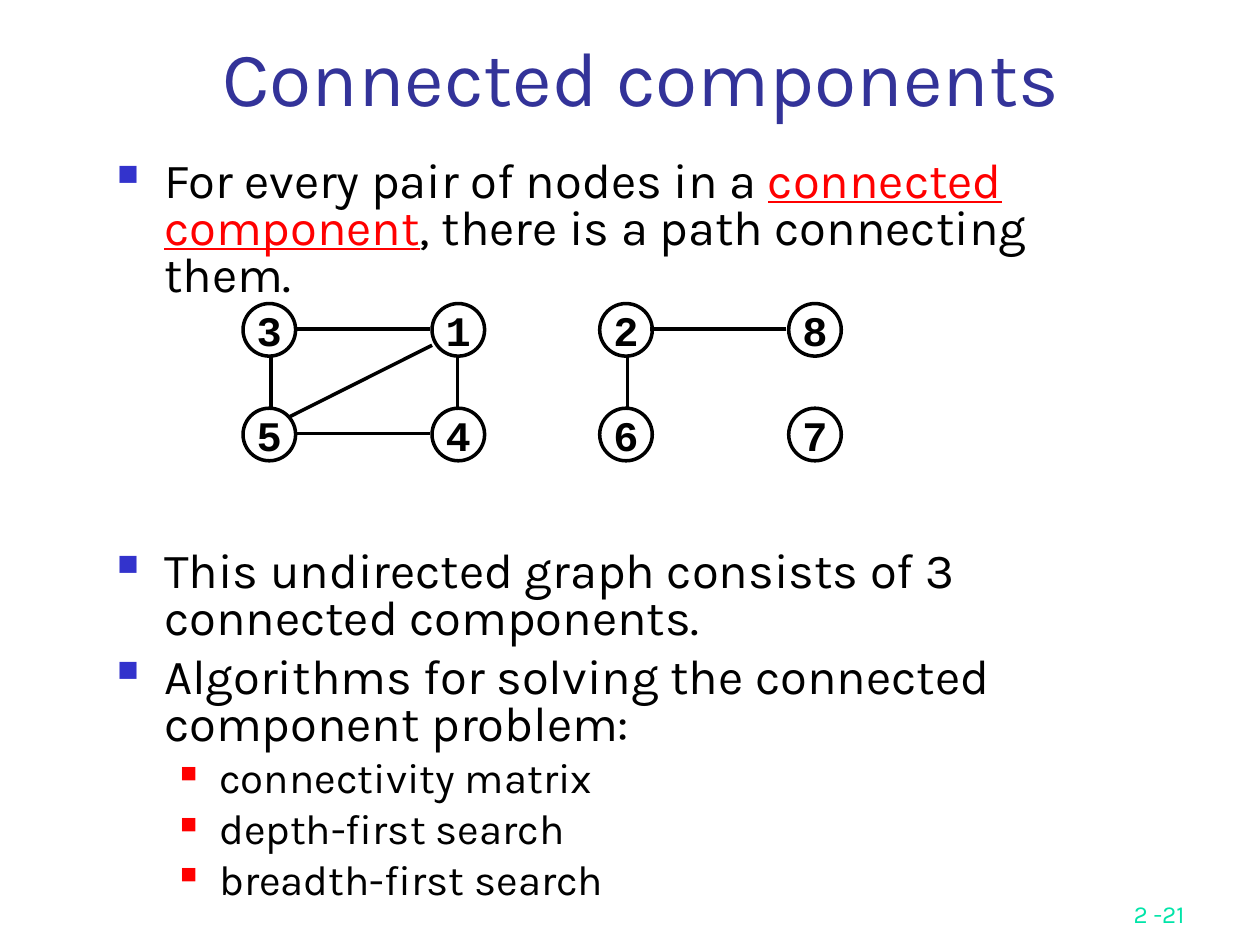
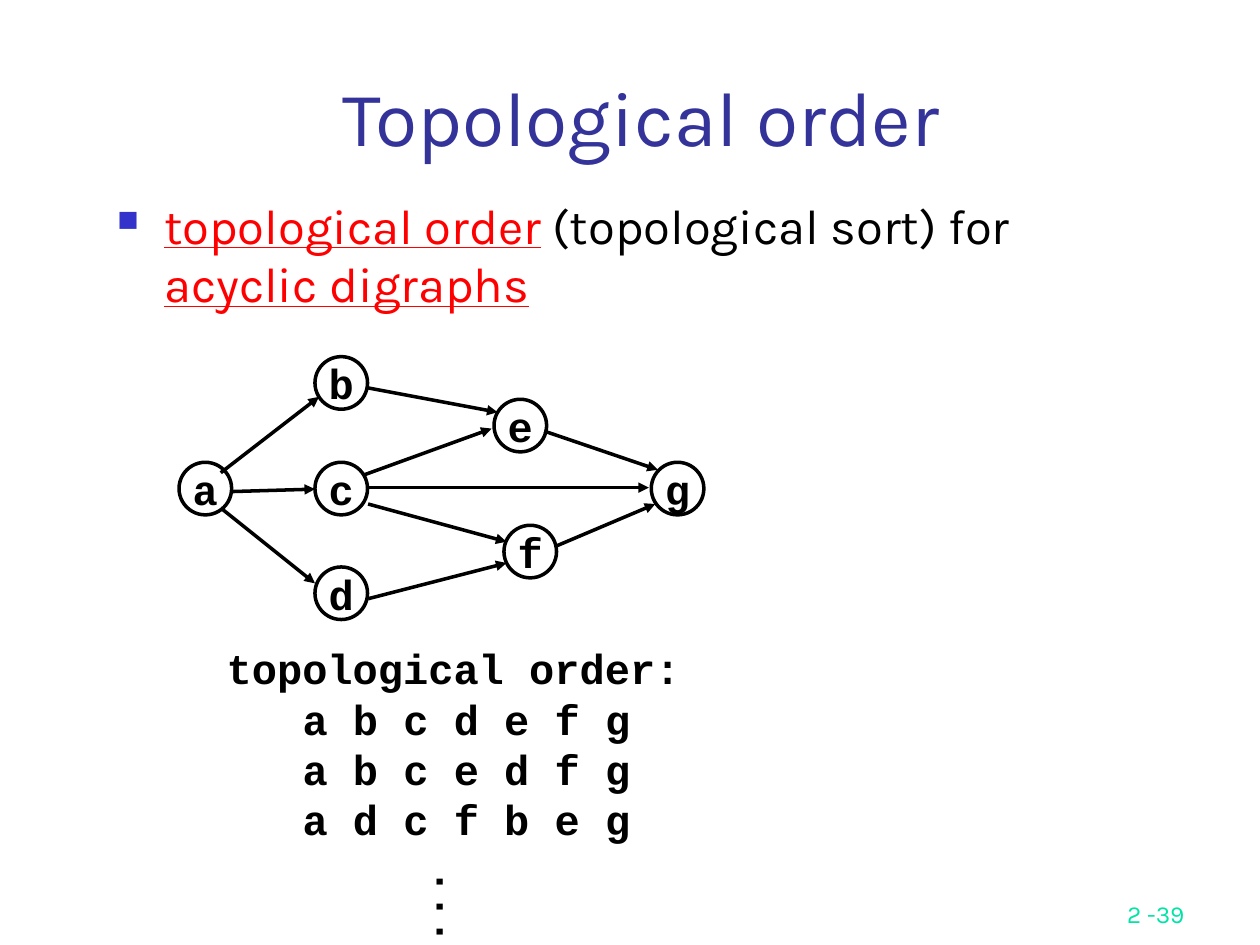
"""Build two lecture slides on graph algorithms: connected components and topological order."""
from lxml.etree import SubElement
from pptx import Presentation
from pptx.dml.color import RGBColor
from pptx.enum.shapes import MSO_CONNECTOR, MSO_SHAPE
from pptx.enum.text import MSO_ANCHOR, PP_ALIGN
from pptx.oxml.ns import qn
from pptx.util import Cm, Pt

BLACK = RGBColor(0x00, 0x00, 0x00)
TITLE_BLUE = RGBColor(0x33, 0x33, 0x99)
BULLET_BLUE = RGBColor(0x33, 0x33, 0xCC)
RED = RGBColor(0xFF, 0x00, 0x00)
FOOTER_GREEN = RGBColor(0x00, 0xE4, 0xA8)
TEXT_FONT, CODE_FONT = "Karla", "Courier New"

FOOTER_BOX = (18.85, 17.58, 5.28, 1.27)
NODE_SIZE = 1.06
CHAR_WIDTH = 0.51
LEVELS = [
    dict(size=28, margin=0.95, hang=0.95, before=7, bullet=BULLET_BLUE, percent=60),
    dict(size=24, margin=2.06, hang=0.79, before=6, bullet=RED, percent=55),
]
GRAPH_GAP = 142

COLUMNS, ROWS = (4.90, 8.71, 12.09, 15.90), (6.12, 8.23)
NODE_GRID = ("3128", "5467")

SLIDES = [
    dict(
        title="Connected components", title_box=(2.11, 0, 21.64, 2.59),
        footer="2 -21", body_box=(2.11, 3.12, 21.39, 15.39), line_spacing=0.8,
        body=[
            (0, None, [("For every pair of nodes in a ", False), ("connected component", True),
                       (", there is a path connecting them.", False)]),
            (0, GRAPH_GAP, [("This undirected graph consists of 3 connected components.", False)]),
            (0, None, [("Algorithms for solving the connected component problem:", False)]),
            (1, None, [("connectivity matrix", False)]),
            (1, None, [("depth-first search", False)]),
            (1, None, [("breadth-first search", False)]),
        ],
        nodes=[(label, x, y) for y, labels in zip(ROWS, NODE_GRID)
               for x, label in zip(COLUMNS, labels)],
        edges=[
            (5.46, 7.19, 5.46, 8.23), (5.97, 8.74, 8.66, 8.74), (9.22, 7.19, 9.22, 8.20),
            (5.92, 6.63, 8.66, 6.63), (8.71, 6.96, 5.82, 8.41),
            (12.65, 7.19, 12.65, 8.23), (13.11, 6.63, 15.85, 6.63),
        ],
        directed=False, orders=[],
    ),
    dict(
        title="Topological order", title_box=(2.11, 1.27, 21.64, 2.11),
        footer="2 -39", body_box=(2.11, 3.81, 21.59, 12.90), line_spacing=None,
        body=[
            (0, None, [("topological order", True), (" (topological sort) for ", False),
                       ("acyclic digraphs", True)]),
        ],
        nodes=[
            ("a", 3.61, 9.32), ("b", 6.35, 7.19), ("c", 6.35, 9.32), ("d", 6.35, 11.43),
            ("e", 9.96, 8.05), ("f", 10.16, 10.59), ("g", 13.13, 9.32),
        ],
        edges=[
            (4.45, 9.53, 6.43, 8.00), (4.65, 9.91, 6.35, 9.86), (4.45, 10.24, 6.35, 11.76),
            (7.42, 7.82, 10.03, 8.31), (7.32, 9.58, 9.91, 8.64), (7.42, 9.83, 13.08, 9.83),
            (7.42, 10.16, 10.21, 10.92), (7.42, 12.07, 10.21, 11.35),
            (11.23, 11.00, 13.21, 10.16), (10.97, 8.69, 13.26, 9.47),
        ],
        directed=True,
        orders=[(1, "topological order:"), (4, "a b c d e f g"),
                (4, "a b c e d f g"), (4, "a d c f b e g")],
    ),
]
ORDERS_BOX = (3.81, 12.83, 11.2, 4.32)
DOTS_BOX = (8.26, 17.27, 1.52, 1.78)


def add_run(paragraph, text, size, color=BLACK, font=TEXT_FONT, bold=False, underline=False):
    run = paragraph.add_run()
    run.text = text
    run.font.name, run.font.size, run.font.bold = font, Pt(size), bold
    run.font.color.rgb = color
    if underline:
        run.font.underline = True


def add_code(paragraph, text):
    add_run(paragraph, text, 24, font=CODE_FONT, bold=True)


def add_frame(slide, box, anchor=MSO_ANCHOR.TOP):
    frame = slide.shapes.add_textbox(*map(Cm, box)).text_frame
    frame.word_wrap = True
    frame.vertical_anchor = anchor
    return frame


def next_paragraph(frame, index):
    return frame.add_paragraph() if index else frame.paragraphs[0]


def indent(paragraph, margin, hang=0):
    properties = paragraph._p.get_or_add_pPr()
    properties.set("marL", str(Cm(margin)))
    properties.set("indent", str(-Cm(hang)))
    return properties


def add_line_of_text(slide, box, text, size, color, align):
    paragraph = add_frame(slide, box, MSO_ANCHOR.BOTTOM).paragraphs[0]
    paragraph.alignment = align
    add_run(paragraph, text, size, color)


def add_body(slide, box, points, line_spacing):
    frame = add_frame(slide, box)
    for index, (depth, gap, runs) in enumerate(points):
        level = LEVELS[depth]
        paragraph = next_paragraph(frame, index)
        paragraph.level = depth
        properties = indent(paragraph, level["margin"], level["hang"])
        color = SubElement(properties, qn("a:buClr"))
        SubElement(color, qn("a:srgbClr"), val=str(level["bullet"]))
        SubElement(properties, qn("a:buSzPct"), val=str(level["percent"] * 1000))
        SubElement(properties, qn("a:buChar"), char="■")
        if line_spacing:
            paragraph.line_spacing = line_spacing
        if index:
            paragraph.space_before = Pt(gap or level["before"])
        for text, key_term in runs:
            add_run(paragraph, text, level["size"], RED if key_term else BLACK, underline=key_term)


def add_node(slide, label, x, y):
    node = slide.shapes.add_shape(MSO_SHAPE.OVAL, Cm(x), Cm(y), Cm(NODE_SIZE), Cm(NODE_SIZE))
    node.shadow.inherit = False
    node.fill.background()
    node.line.color.rgb, node.line.width = BLACK, Pt(2)
    frame = node.text_frame
    frame.word_wrap = False
    frame.vertical_anchor = MSO_ANCHOR.MIDDLE
    frame.paragraphs[0].alignment = PP_ALIGN.CENTER
    add_code(frame.paragraphs[0], label)


def add_edge(slide, ends, directed):
    edge = slide.shapes.add_connector(MSO_CONNECTOR.STRAIGHT, *map(Cm, ends))
    edge.line.color.rgb, edge.line.width = BLACK, Pt(2)
    if directed:
        SubElement(edge.line._get_or_add_ln(), qn("a:tailEnd"), type="triangle")
    SubElement(edge._element.spPr, qn("a:effectLst"))


def add_orders(slide, orders):
    frame = add_frame(slide, ORDERS_BOX)
    for index, (columns, text) in enumerate(orders):
        paragraph = next_paragraph(frame, index)
        indent(paragraph, columns * CHAR_WIDTH)
        add_code(paragraph, text)
    dots = add_frame(slide, DOTS_BOX)
    dots.word_wrap = False
    dots.margin_left = dots.margin_right = Cm(0.13)
    dots.margin_top = dots.margin_bottom = Cm(0.25)
    dots._txBody.bodyPr.set("vert", "eaVert")
    add_code(dots.paragraphs[0], "...")


def main():
    deck = Presentation()
    deck.slide_width, deck.slide_height = Cm(25.4), Cm(19.05)
    for content in SLIDES:
        slide = deck.slides.add_slide(deck.slide_layouts[6])
        add_line_of_text(slide, FOOTER_BOX, content["footer"], 14, FOOTER_GREEN, PP_ALIGN.RIGHT)
        add_line_of_text(slide, content["title_box"], content["title"], 44, TITLE_BLUE,
                         PP_ALIGN.CENTER)
        add_body(slide, content["body_box"], content["body"], content["line_spacing"])
        for node in content["nodes"]:
            add_node(slide, *node)
        for ends in content["edges"]:
            add_edge(slide, ends, content["directed"])
        if content["orders"]:
            add_orders(slide, content["orders"])
    deck.save("out.pptx")


if __name__ == "__main__":
    main()
